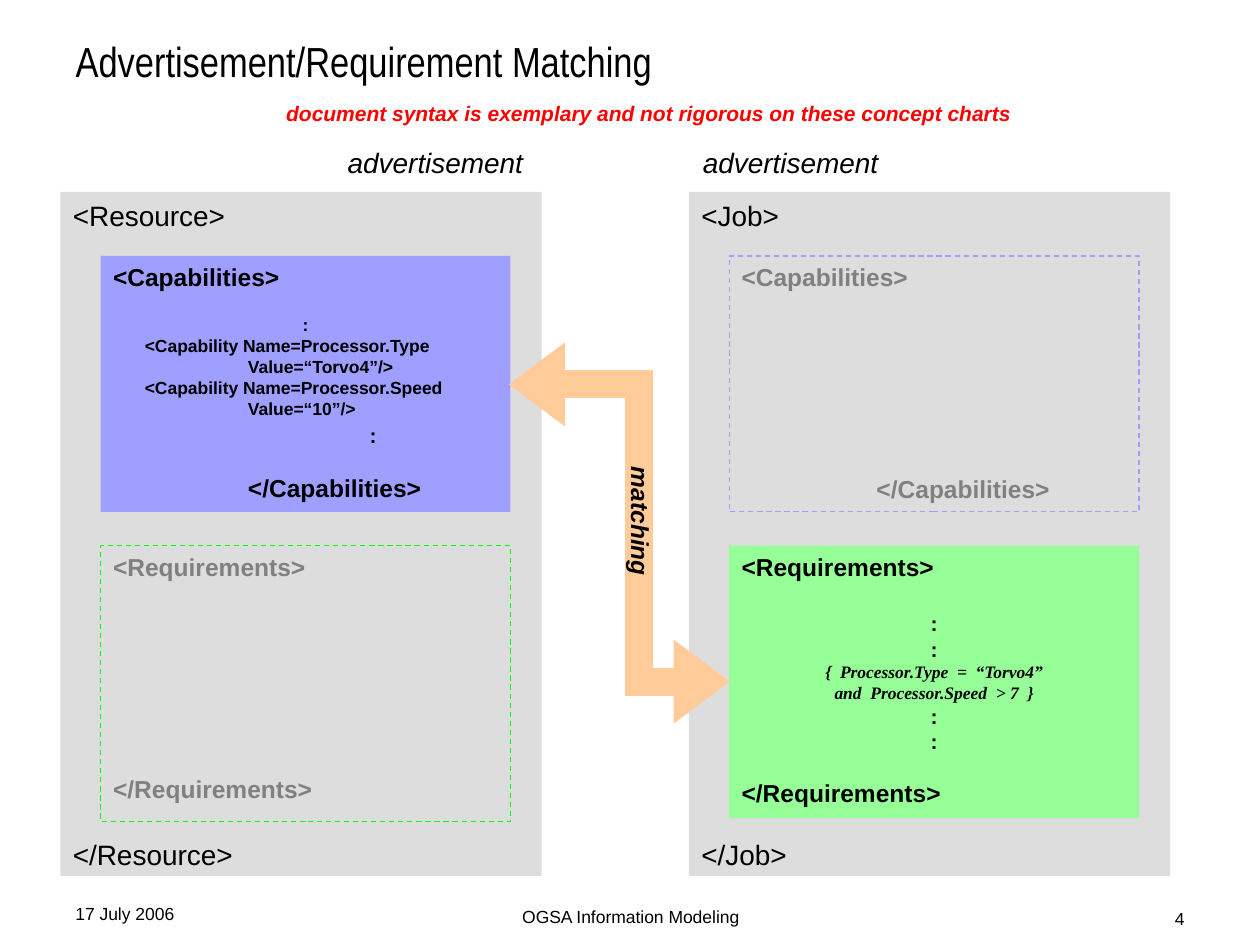
from lxml import etree
from pptx import Presentation
from pptx.dml.color import RGBColor
from pptx.enum.dml import MSO_LINE
from pptx.enum.shapes import MSO_CONNECTOR, MSO_SHAPE
from pptx.enum.text import MSO_ANCHOR, PP_ALIGN
from pptx.oxml.ns import qn
from pptx.util import Cm, Pt

LEFT, CENTER, RIGHT = PP_ALIGN.LEFT, PP_ALIGN.CENTER, PP_ALIGN.RIGHT
TOP, MIDDLE = MSO_ANCHOR.TOP, MSO_ANCHOR.MIDDLE
DASH, RECT, ELBOW = MSO_LINE.DASH, MSO_SHAPE.RECTANGLE, MSO_CONNECTOR.ELBOW

COLORS = {
    "text": "000000", "muted": "808080", "note": "FF0000", "panel": "DDDDDD",
    "capabilities": "9F9FFF", "requirements": "97FF97",
    "requirements_line": "00FF00", "arrow": "FFCC99",
}
INDENT = 2.72
TAG = {"size": 14, "bold": True}
DOTS = {"size": 12, "bold": True, "align": CENTER}
CODE = {"size": 10, "bold": True, "indent": INDENT, "hang": -2.08}
RULE = {"size": 10, "bold": True, "italic": True, "name": "Times New Roman",
        "align": CENTER}


def rgb(key):
    return RGBColor.from_string(COLORS[key])


def write(p, text, size=10, color="text", align=LEFT, before=0, indent=0,
          hang=0, name="Arial", bold=False, italic=False):
    pPr = p._p.get_or_add_pPr()
    pPr.set("marL", str(Cm(indent)))
    pPr.set("indent", str(Cm(hang)))
    p.text = text
    p.alignment = align
    if before:
        p.space_before = Pt(before)
    font = {"size": Pt(size), "name": name, "bold": bold, "italic": italic}
    for r in p.runs:
        for attr, value in font.items():
            setattr(r.font, attr, value)
        r.font.color.rgb = rgb(color)


def add_text(s, text, x, y, w, h, wrap=False, **fmt):
    sp = s.shapes.add_textbox(Cm(x), Cm(y), Cm(w), Cm(h))
    sp.text_frame.word_wrap = wrap
    write(sp.text_frame.paragraphs[0], text, **fmt)
    return sp


def add_box(s, x, y, w, h, lines, fill=None, line=None):
    sp = s.shapes.add_shape(RECT, Cm(x), Cm(y), Cm(w), Cm(h))
    sp.shadow.inherit = False
    if fill:
        sp.fill.solid()
        sp.fill.fore_color.rgb = rgb(fill)
    else:
        sp.fill.background()
    if line:
        sp.line.color.rgb = rgb(line)
        sp.line.width = Pt(0.75)
        sp.line.dash_style = DASH
    else:
        sp.line.fill.background()
    tf = sp.text_frame
    tf.word_wrap = True
    tf.vertical_anchor = TOP
    for i, (text, fmt) in enumerate(lines):
        write(tf.add_paragraph() if i else tf.paragraphs[0], text, **fmt)


def add_document(s, x, y, w, h, tag, label_x, sections):
    add_text(s, "advertisement", x + label_x, y - 1.06, 4.04, 0.94,
             size=16, italic=True)
    add_box(s, x, y, w, h, [
        (f"<{tag}>", {"size": 16}),
        (f"</{tag}>", {"size": 16, "before": 346}),
    ], fill="panel")
    for top, height, name, body, gap, indent, style in sections:
        tag_fmt = TAG | {"color": "text" if body else "muted"}
        lines = [(f"<{name}>", tag_fmt), *body,
                 (f"</{name}>", tag_fmt | {"before": gap, "indent": indent})]
        add_box(s, x + 0.81, y + top, 8.26, height, lines, **style)


def add_matching(s, x, y, w, h):
    c = s.shapes.add_connector(ELBOW, Cm(x), Cm(y), Cm(x + w), Cm(y + h))
    c.line.color.rgb = rgb("arrow")
    c.line.width = Pt(16)
    spPr = c._element.spPr
    geom = spPr.find(qn("a:prstGeom"))
    av = geom.find(qn("a:avLst"))
    if av is None:
        av = etree.SubElement(geom, qn("a:avLst"))
    etree.SubElement(av, qn("a:gd"), name="adj1", fmla="val 59000")
    ln = spPr.find(qn("a:ln"))
    etree.SubElement(ln, qn("a:miter"), lim="800000")
    for end in ("a:headEnd", "a:tailEnd"):
        etree.SubElement(ln, qn(end), type="triangle", w="med", len="sm")
    etree.SubElement(spPr, qn("a:effectLst"))
    sp = add_text(s, "matching", x + 0.9, y + 2.33, 3.5, 0.86, wrap=True,
                  size=14, bold=True, italic=True, align=CENTER)
    sp.rotation = 90


def add_header(s, x, y, w, h):
    title = s.shapes.title
    box = {"left": x, "top": y, "width": w, "height": h}
    for attr, value in box.items():
        setattr(title, attr, Cm(value))
    title.text_frame.vertical_anchor = MIDDLE
    write(title.text_frame.paragraphs[0], "Advertisement/Requirement Matching",
          size=24, name="Arial Narrow")
    add_text(s, "document syntax is exemplary and not rigorous on these concept charts",
             x + 4.25, y + 1.15, 15.14, 0.76,
             size=12, color="note", bold=True, italic=True)


def add_footer(s, x, y, w, h):
    add_text(s, "17 July 2006", x, y, 5.92, h, wrap=True)
    add_text(s, "OGSA Information Modeling", x + 7.42, y + 0.06, 8.05, h,
             wrap=True, align=CENTER)
    add_text(s, "4", x + w - 5.92, y + 0.1, 5.92, h, wrap=True, align=RIGHT)


def main():
    prs = Presentation()
    prs.slide_width, prs.slide_height = Cm(25.4), Cm(19.05)
    s = prs.slides.add_slide(prs.slide_layouts[5])
    capabilities = [
        (":", DOTS | {"size": 10, "before": 13}),
        ("<Capability Name=Processor.Type\vValue=“Torvo4”/>", CODE),
        ("<Capability Name=Processor.Speed\vValue=“10”/>", CODE),
        (":", DOTS | {"before": 2, "indent": INDENT}),
    ]
    requirements = [
        (":", DOTS | {"before": 17}),
        (":", DOTS),
        ("{  Processor.Type  =  “Torvo4”\vand  Processor.Speed  > 7  }", RULE),
        (":", DOTS),
        (":", DOTS),
    ]
    add_header(s, 1.27, 0.76, 22.86, 0.94)
    add_document(s, 1.22, 3.87, 9.7, 13.79, "Resource", 5.54, [
        (1.29, 5.16, "Capabilities", capabilities, 14, INDENT,
         {"fill": "capabilities"}),
        (7.13, 5.56, "Requirements", [], 110, 0,
         {"line": "requirements_line"}),
    ])
    add_document(s, 13.89, 3.87, 9.7, 13.79, "Job", 0.03, [
        (1.29, 5.16, "Capabilities", [], 104, INDENT,
         {"line": "capabilities"}),
        (7.13, 5.49, "Requirements", requirements, 14, 0,
         {"fill": "requirements"}),
    ])
    add_matching(s, 10.26, 7.75, 4.45, 5.99)
    add_footer(s, 1.27, 18.08, 22.86, 0.58)
    prs.save("out.pptx")


if __name__ == "__main__":
    main()
